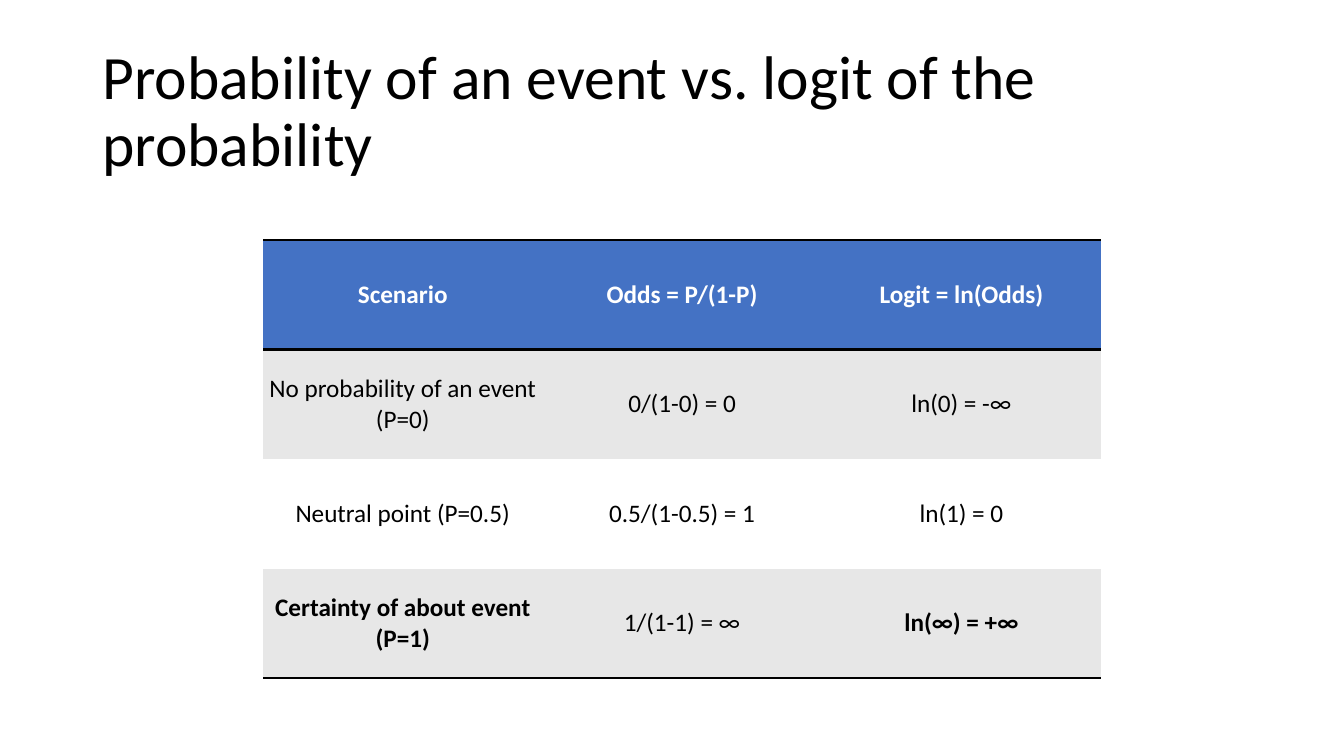
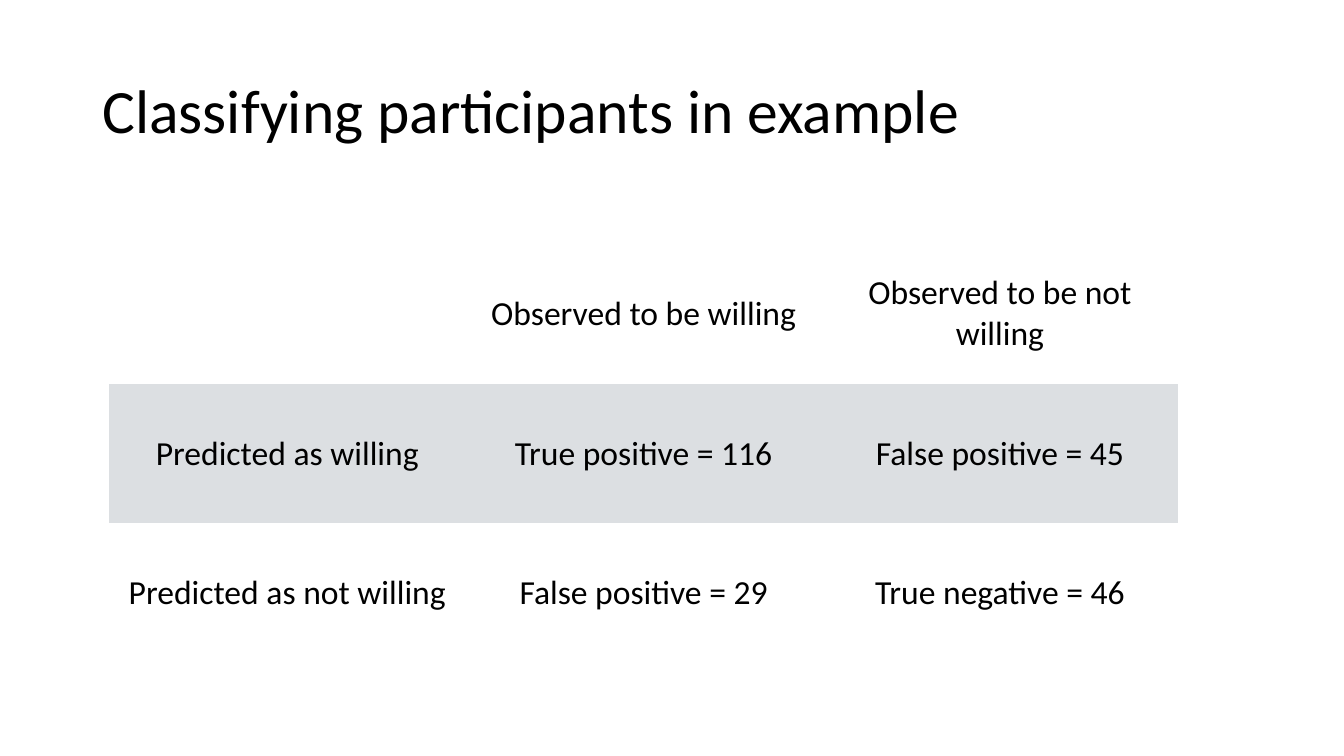
"""Build two slides with tables on logits and on classification results."""
import dataclasses

import lxml.etree
import pptx
import pptx.dml.color
import pptx.enum.text
import pptx.oxml.ns
import pptx.presentation
import pptx.slide
import pptx.table
import pptx.text.text
import pptx.util

Cm = pptx.util.Cm
RGBColor = pptx.dml.color.RGBColor

BLACK = RGBColor(0x00, 0x00, 0x00)
WHITE = RGBColor(0xFF, 0xFF, 0xFF)
BLUE = RGBColor(0x44, 0x72, 0xC4)
LIGHT_GRAY = RGBColor(0xE7, 0xE7, 0xE7)
BLUE_GRAY = RGBColor(0xDC, 0xDF, 0xE2)

FONT_NAME = "Calibri"
TITLE_SIZE = 44
CELL_MARGIN = Cm(0.1)
RULE_WIDTH = pptx.util.Pt(2)
BLANK_LAYOUT = 6


@dataclasses.dataclass(frozen=True)
class TableSlide:
    title: str
    rows: tuple[tuple[str, ...], ...]
    left: float
    top: float
    column_width: float
    row_height: float
    font_size: int
    header_fill: RGBColor
    header_color: RGBColor
    band_fill: RGBColor
    bold_texts: frozenset[str] = frozenset()
    ruled_edges: frozenset[int] = frozenset()


LOGIT_HEADER = ("Scenario", "Odds = P/(1-P)", "Logit = ln(Odds)")

TABLE_SLIDES = (
    TableSlide(
        title="Probability of an event vs. logit of the probability",
        rows=(
            LOGIT_HEADER,
            ("No probability of an event (P=0)", "0/(1-0) = 0", "ln(0) = -∞"),
            ("Neutral point (P=0.5)", "0.5/(1-0.5) = 1", "ln(1) = 0"),
            ("Certainty of about event (P=1)", "1/(1-1) = ∞", "ln(∞) = +∞"),
        ),
        left=6.63,
        top=6.05,
        column_width=7.04,
        row_height=2.76,
        font_size=18,
        header_fill=BLUE,
        header_color=WHITE,
        band_fill=LIGHT_GRAY,
        bold_texts=frozenset(
            (*LOGIT_HEADER, "Certainty of about event (P=1)", "ln(∞) = +∞")
        ),
        ruled_edges=frozenset((0, 1, 4)),
    ),
    TableSlide(
        title="Classifying participants in example",
        rows=(
            ("", "Observed to be willing", "Observed to be not willing"),
            ("Predicted as willing", "True positive = 116", "False positive = 45"),
            ("Predicted as not willing", "False positive = 29", "True negative = 46"),
        ),
        left=2.75,
        top=6.15,
        column_width=8.98,
        row_height=3.52,
        font_size=24,
        header_fill=WHITE,
        header_color=BLACK,
        band_fill=BLUE_GRAY,
    ),
)


def format_runs(
    paragraph: pptx.text.text._Paragraph,
    size: int,
    color: RGBColor,
    bold: bool = False,
) -> None:
    for run in paragraph.runs:
        run.font.name = FONT_NAME
        run.font.size = pptx.util.Pt(size)
        run.font.color.rgb = color
        run.font.bold = bold


def add_title(slide: pptx.slide.Slide, title: str) -> None:
    shape = slide.shapes.add_textbox(Cm(2.33), Cm(1.01), Cm(29.21), Cm(3.68))
    text_frame = shape.text_frame
    text_frame.word_wrap = True
    text_frame.vertical_anchor = pptx.enum.text.MSO_ANCHOR.MIDDLE
    text_frame.text = title
    paragraph = text_frame.paragraphs[0]
    paragraph.line_spacing = 0.9
    format_runs(paragraph, TITLE_SIZE, BLACK)


def set_borders(cell: pptx.table._Cell, ruled_sides: set[str]) -> None:
    qualify = pptx.oxml.ns.qn
    properties = cell._tc.get_or_add_tcPr()
    for position, side in enumerate(("lnL", "lnR", "lnT", "lnB")):
        line = lxml.etree.Element(qualify(f"a:{side}"))
        if side in ruled_sides:
            line.set("w", str(RULE_WIDTH))
            fill = lxml.etree.SubElement(line, qualify("a:solidFill"))
            lxml.etree.SubElement(fill, qualify("a:srgbClr"), val=str(BLACK))
        else:
            line.set("w", "0")
            lxml.etree.SubElement(line, qualify("a:noFill"))
        properties.insert(position, line)


def fill_cell(
    cell: pptx.table._Cell, text: str, row_index: int, content: TableSlide
) -> None:
    is_header = row_index == 0
    body_fill = content.band_fill if row_index % 2 else WHITE
    cell.fill.solid()
    cell.fill.fore_color.rgb = content.header_fill if is_header else body_fill
    cell.vertical_anchor = pptx.enum.text.MSO_ANCHOR.MIDDLE
    cell.margin_left = cell.margin_right = CELL_MARGIN
    cell.margin_top = cell.margin_bottom = CELL_MARGIN
    cell.text_frame.text = text
    paragraph = cell.text_frame.paragraphs[0]
    paragraph.alignment = pptx.enum.text.PP_ALIGN.CENTER
    color = content.header_color if is_header else BLACK
    format_runs(paragraph, content.font_size, color, text in content.bold_texts)
    edges = (("lnT", row_index), ("lnB", row_index + 1))
    set_borders(cell, {side for side, edge in edges if edge in content.ruled_edges})


def add_table(slide: pptx.slide.Slide, content: TableSlide) -> None:
    row_count, column_count = len(content.rows), len(content.rows[0])
    table = slide.shapes.add_table(
        row_count,
        column_count,
        Cm(content.left),
        Cm(content.top),
        Cm(content.column_width * column_count),
        Cm(content.row_height * row_count),
    ).table
    table.first_row = bool(content.ruled_edges)
    table.horz_banding = False
    for row_index, texts in enumerate(content.rows):
        for column_index, text in enumerate(texts):
            fill_cell(table.cell(row_index, column_index), text, row_index, content)


def add_table_slide(
    presentation: pptx.presentation.Presentation, content: TableSlide
) -> None:
    slide = presentation.slides.add_slide(presentation.slide_layouts[BLANK_LAYOUT])
    add_title(slide, content.title)
    add_table(slide, content)


def main() -> None:
    presentation = pptx.Presentation()
    presentation.slide_width = Cm(33.87)
    presentation.slide_height = Cm(19.05)
    for content in TABLE_SLIDES:
        add_table_slide(presentation, content)
    presentation.save("out.pptx")


if __name__ == "__main__":
    main()
